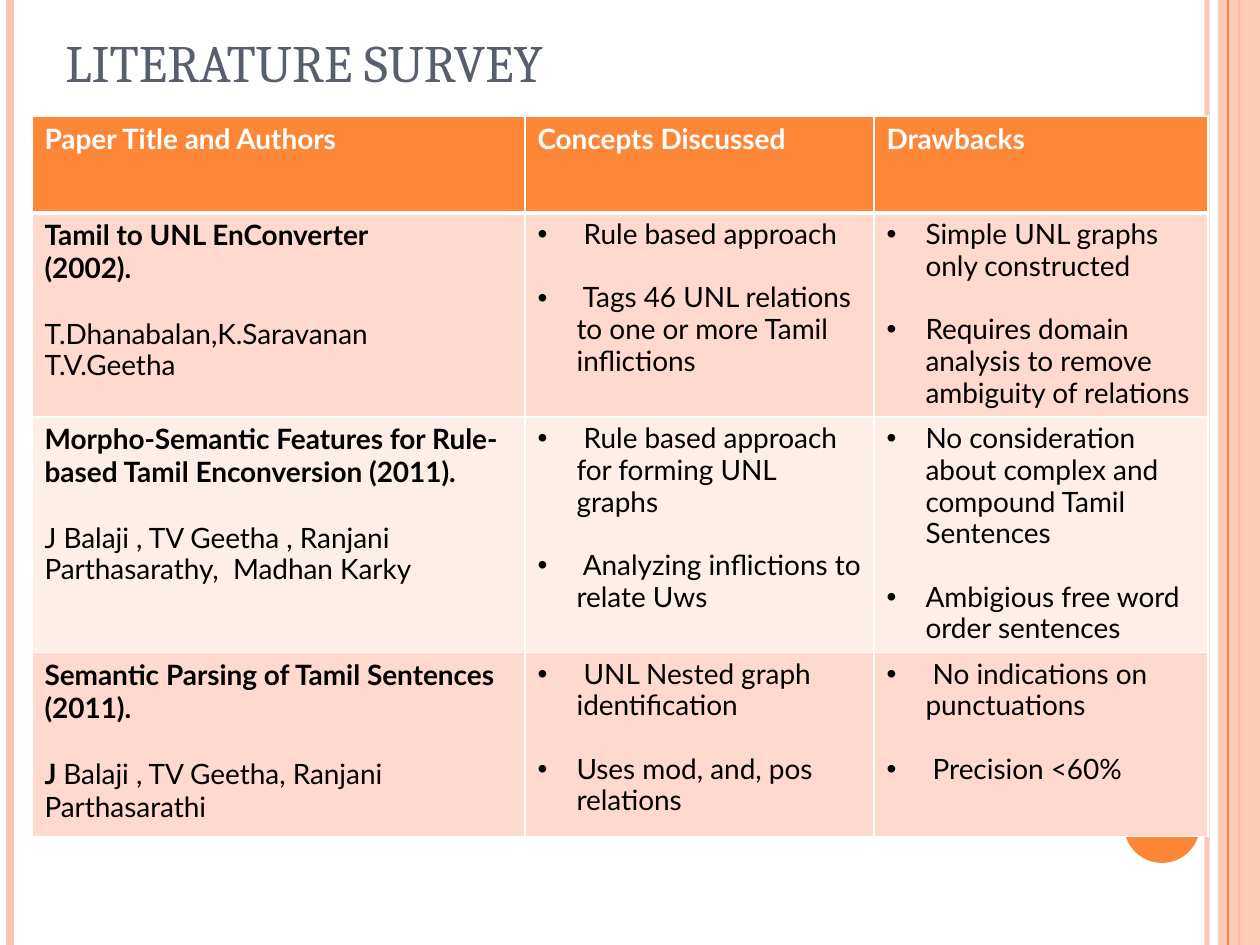
from pptx import Presentation, util as u
from pptx.dml.color import RGBColor
from pptx.enum import shapes, text
from pptx.oxml import xmlchemy
from pptx.oxml.ns import qn
from lxml import etree

PX = 914400 / 126
ORANGE, PEACH, WHITE, BLACK = "FE8637", "FEC3AE", "FFFFFF", "000000"
BANDS = ["FFD9CE", "FFEDE8"]
COLUMNS = [493, 349, 334]
ROWS = [97, 204, 235, 184]
HEADINGS = ["Paper Title and Authors", "Concepts Discussed", "Drawbacks"]

# Each paper: title, author paragraphs, concepts, drawbacks.
# Each author paragraph is a list of (text, bold) runs.
PAPERS = [
    ("Tamil to UNL EnConverter\v(2002).",
     [[("T.Dhanabalan,K.Saravanan", False)], [("T.V.Geetha", False)]],
     [" Rule based approach",
      " Tags 46 UNL relations to one or more Tamil inflictions"],
     ["Simple UNL graphs only constructed",
      "Requires domain analysis to remove ambiguity of relations"]),
    ("Morpho-Semantic Features for Rule-based Tamil Enconversion (2011).",
     [[("J Balaji , TV Geetha , Ranjani Parthasarathy,  Madhan Karky", False)]],
     [" Rule based approach for forming UNL graphs",
      " Analyzing inflictions to relate Uws"],
     ["No consideration about complex and compound Tamil Sentences",
      "Ambigious free word order sentences"]),
    ("Semantic Parsing of Tamil Sentences (2011).",
     [[("J ", True), ("Balaji , TV Geetha, Ranjani Parthasarathi", False)]],
     [" UNL Nested graph identification", "Uses mod, and, pos relations"],
     [" No indications on punctuations", " Precision <60%"]),
]


def px(length):
    return u.Emu(round(length * PX))


def color(value):
    return RGBColor.from_string(value)


def add_child(parent, tag, **attributes):
    return etree.SubElement(parent, qn(tag), attributes)


def set_alpha(properties, percent):
    value = next(properties.iter(qn("a:srgbClr")))
    add_child(value, "a:alpha", val=str(percent * 1000))


def add_rule(page, x, value, width, alpha=None):
    line = page.shapes.add_connector(
        shapes.MSO_CONNECTOR.STRAIGHT, px(x), 0, px(x), px(945))
    line.line.color.rgb = color(value)
    line.line.width = u.Pt(width)
    properties = line._element.spPr
    if alpha:
        set_alpha(properties, alpha)
    add_child(properties, "a:effectLst")


def add_block(page, kind, left, top, width, height, value, alpha=None):
    block = page.shapes.add_shape(kind, px(left), px(top), px(width), px(height))
    block.shadow.inherit = False
    block.fill.solid()
    block.fill.fore_color.rgb = color(value)
    block.line.fill.background()
    if alpha:
        set_alpha(block._element.spPr, alpha)


def add_span(para, words, size, font, value, bold=False):
    # A vertical tab in the words stands for a line break.
    for index, part in enumerate(words.split("\v")):
        if index:
            para.add_line_break()
        span = para.add_run()
        span.text = part
        span.font.size = u.Pt(size)
        span.font.name = font
        span.font.bold = bold
        span.font.color.rgb = color(value)


def add_title(page, words):
    box = page.shapes.add_textbox(px(53), px(-100), px(1029), px(199))
    frame = box.text_frame
    frame.word_wrap = True
    frame.vertical_anchor = text.MSO_ANCHOR.BOTTOM
    add_span(frame.paragraphs[0], words, 30, "Cambria", "575F6D")


def style_cell(cell, value, top=1, bottom=1):
    properties = cell._tc.get_or_add_tcPr()
    for side, width in (("L", 1), ("R", 1), ("T", top), ("B", bottom)):
        border = add_child(properties, f"a:ln{side}", w=str(u.Pt(width)))
        fill = add_child(border, "a:solidFill")
        add_child(fill, "a:srgbClr", val=WHITE)
    cell.fill.solid()
    cell.fill.fore_color.rgb = color(value)


def add_bullet(para):
    properties = para._p.get_or_add_pPr()
    properties.set("marL", str(px(39)))
    properties.set("indent", str(px(-39)))
    add_child(add_child(properties, "a:buClr"), "a:srgbClr", val=BLACK)
    add_child(properties, "a:buFont", typeface="Arial")
    add_child(properties, "a:buChar", char="•")


def fill_cell(cell, paragraphs, value=BLACK, bullets=False):
    """Write paragraphs given as (runs, line spacing, space before)."""
    frame = cell.text_frame
    for index, (runs, spacing, before) in enumerate(paragraphs):
        para = frame.add_paragraph() if index else frame.paragraphs[0]
        para.line_spacing = spacing
        para.space_before = u.Pt(before)
        if bullets:
            add_bullet(para)
        for words, bold in runs:
            add_span(para, words, 16, "Lato", value, bold)


def add_survey(page):
    frame = page.shapes.add_table(len(ROWS), len(COLUMNS), px(32), px(116),
                                  px(sum(COLUMNS)), px(sum(ROWS)))
    table = frame.table
    table.first_row = table.horz_banding = False
    for column, width in zip(table.columns, COLUMNS):
        column.width = px(width)
    for row, height in zip(table.rows, ROWS):
        row.height = px(height)

    # Header row
    for index, heading in enumerate(HEADINGS):
        cell = table.cell(0, index)
        style_cell(cell, ORANGE, bottom=3)
        fill_cell(cell, [([(heading, True)], 1.0, 0)], WHITE)

    # One row per paper
    for row, (title, authors, *lists) in enumerate(PAPERS, 1):
        for cell in table.rows[row].cells:
            style_cell(cell, BANDS[(row - 1) % 2], top=3 if row == 1 else 1)
        paragraphs = [([(title, True)], 0.99, 0)]
        for index, runs in enumerate(authors):
            spacing = 0.99 if runs[0][1] else 0.95
            paragraphs.append((runs, spacing, 0 if index else 19))
        fill_cell(table.cell(row, 0), paragraphs)
        for column, items in enumerate(lists, 1):
            points = [([(item, False)], 0.95, 18 if index else 0)
                      for index, item in enumerate(items)]
            fill_cell(table.cell(row, column), points, bullets=True)


def main():
    deck = Presentation()
    deck.slide_width, deck.slide_height = px(1260), px(945)
    page = deck.slides.add_slide(deck.slide_layouts[6])

    # Side stripes and the page-number disc
    add_rule(page, 1207, PEACH, 3, alpha=93)
    add_rule(page, 10, PEACH, 4.5)
    add_rule(page, 1239, ORANGE, 1.5)
    add_block(page, shapes.MSO_SHAPE.RECTANGLE, 1218, 0, 42, 945, PEACH, alpha=87)
    add_rule(page, 1228, ORANGE, 0.75)
    add_block(page, shapes.MSO_SHAPE.OVAL, 1124, 787, 76, 76, ORANGE)

    add_title(page, "LITERATURE SURVEY")
    add_survey(page)
    deck.save("out.pptx")


if __name__ == "__main__":
    main()
